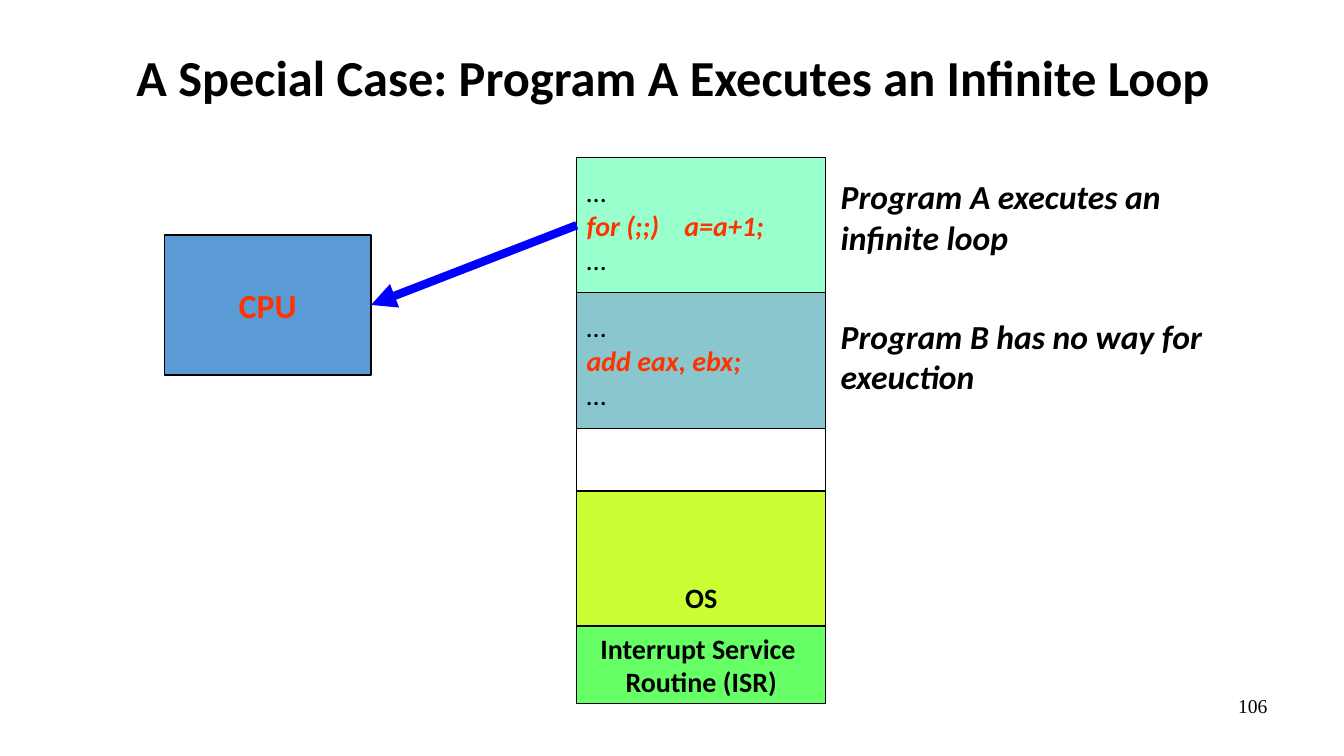
from pptx import Presentation, util as u
from pptx.dml.color import RGBColor
from pptx.enum import shapes, text
from pptx.oxml.ns import qn
from lxml import etree

HUES = {"black": "000000", "red": "FF3300", "mint": "99FFCC", "teal": "8AC6CD",
        "lime": "CCFF33", "green": "66FF66", "sky": "5B9BD5", "blue": "0000FF"}
LEFT, MID, RIGHT = text.PP_ALIGN.LEFT, text.PP_ALIGN.CENTER, text.PP_ALIGN.RIGHT
TOP, CORE = text.MSO_ANCHOR.TOP, text.MSO_ANCHOR.MIDDLE

# Content: a line is (words, colour, style), with b for bold and i for italic
DOTS = ("…", "black", "")
TITLE = [("A Special Case: Program A Executes an Infinite Loop", "black", "b")]
CPU = [("CPU", "red", "b")]
PAGE = [("106", "black", "")]

# Memory blocks, back to front: name, top, height, fill, alignment, lines
MEM_X, MEM_W = 5.72, 2.47
MEMORY = [
    ("A", 1.56, 1.35, "mint", LEFT, [DOTS, ("for (;;)    a=a+1;", "red", "bi"), DOTS]),
    ("OS", 4.87, 2.11, "lime", MID, [("OS", "black", "b")]),
    ("free", 2.91, 1.96, None, LEFT, []),
    ("ISR", 6.21, 0.77, "green", MID,
     [("Interrupt Service ", "black", "b"), ("Routine (ISR)", "black", "b")]),
    ("B", 2.9, 1.35, "teal", LEFT, [DOTS, ("add eax, ebx;", "red", "bi"), DOTS]),
]
# Remarks beside the programs: top, lines
REMARKS = [
    (1.7, [("Program A executes an", "black", "bi"), ("infinite loop", "black", "bi")]),
    (3.08, [("Program B has no way for exeuction", "black", "bi")]),
]

deck = Presentation()
deck.slide_width, deck.slide_height = u.Inches(13.33), u.Inches(7.5)
slide = deck.slides.add_slide(deck.slide_layouts[6])


def hue(name):
    return RGBColor.from_string(HUES[name])


def write(shape, lines, size, align, anchor, wrap, font="Calibri"):
    frame = shape.text_frame
    frame.word_wrap, frame.vertical_anchor = wrap, anchor
    for n, (words, tint, style) in enumerate(lines):
        para = frame.add_paragraph() if n else frame.paragraphs[0]
        para.alignment = align
        run = para.add_run()
        run.text = words
        run.font.name, run.font.size = font, u.Pt(size)
        run.font.bold, run.font.italic = "b" in style, "i" in style
        run.font.color.rgb = hue(tint)


def label(area, lines, size, align=LEFT, anchor=TOP, font="Calibri"):
    box = slide.shapes.add_textbox(*map(u.Inches, area))
    write(box, lines, size, align, anchor, True, font)


def block(area, fill, lines, size, align):
    rect = slide.shapes.add_shape(shapes.MSO_SHAPE.RECTANGLE, *map(u.Inches, area))
    rect.shadow.inherit = False
    if fill:
        rect.fill.solid()
        rect.fill.fore_color.rgb = hue(fill)
    else:
        rect.fill.background()
    rect.line.color.rgb, rect.line.width = hue("black"), u.Pt(1)
    write(rect, lines, size, align, CORE, False)
    return rect


# Title
label((0.68, 0.13, 12, 1.25), TITLE, 36, MID, CORE)

# Memory column and CPU
parts = {name: block((MEM_X, top, MEM_W, high), fill, lines, 20, align)
         for name, top, high, fill, align, lines in MEMORY}
cpu = block((1.63, 2.33, 2.05, 1.39), "sky", CPU, 24, MID)

# Arrow from program A to the CPU
arrow = slide.shapes.add_connector(shapes.MSO_CONNECTOR.STRAIGHT, 0, 0, 0, 0)
arrow.begin_connect(parts["A"], 1)
arrow.end_connect(cpu, 3)
arrow.line.color.rgb, arrow.line.width = hue("blue"), u.Pt(6)
etree.SubElement(arrow.line._get_or_add_ln(), qn("a:tailEnd"), type="triangle")
etree.SubElement(arrow._element.spPr, qn("a:effectLst"))

# Remarks and page number
for top, lines in REMARKS:
    label((8.24, top, 3.78, 0.91), lines, 24)
label((9.56, 6.83, 3.11, 0.52), PAGE, 14, RIGHT, font="Times New Roman")

deck.save("out.pptx")
